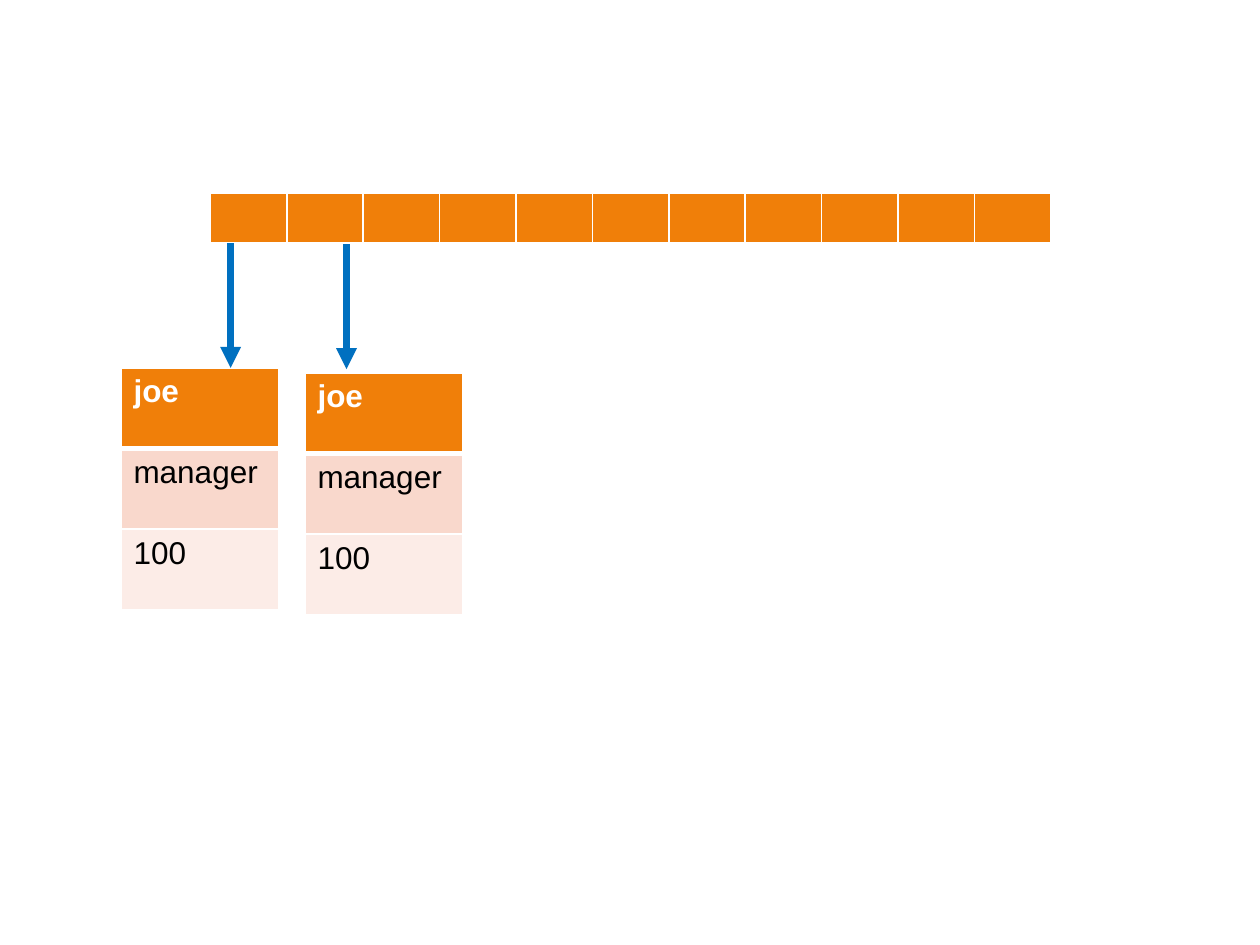
from lxml import etree
from pptx import Presentation
from pptx import util as u
from pptx.dml.color import RGBColor
from pptx.enum import shapes
from pptx.oxml import ns

PX = 9144  # EMU per px, at 100 px to the inch
WHITE = RGBColor(0xFF, 0xFF, 0xFF)
BLACK = RGBColor(0x00, 0x00, 0x00)
ORANGE = RGBColor(0xF0, 0x7F, 0x09)
PINK = RGBColor(0xF9, 0xD8, 0xCC)
PALE_PINK = RGBColor(0xFC, 0xEC, 0xE7)
BLUE = RGBColor(0x00, 0x70, 0xC0)

HEADER = {"name": "Arial", "size": u.Pt(18), "bold": True}
BODY = {**HEADER, "bold": False}
ROW_FILLS = [ORANGE, PINK, PALE_PINK]


def add_xml(parent, tag, **attributes):
    return etree.SubElement(parent, ns.qn(tag), attributes)


class HashTableSlide:
    """Holds the slide and draws bucket rows, records and pointers on it."""

    def __init__(self, deck):
        self.slide = deck.slides.add_slide(deck.slide_layouts[6])

    def grid(self, left, top, width, row_height, rows):
        """Draw a table from rows of texts; the first row is the header."""
        box = [v * PX for v in (left, top, width, row_height * len(rows))]
        table = self.slide.shapes.add_table(len(rows), len(rows[0]), *box).table
        for column in table.columns:
            column.width = round(width * PX / len(rows[0]))
        for r, (texts, fill) in enumerate(zip(rows, ROW_FILLS)):
            table.rows[r].height = row_height * PX
            for c, words in enumerate(texts):
                cell = table.cell(r, c)
                self.border(cell, top=3 if r == 1 else 1, bottom=3 if r == 0 else 1)
                cell.fill.solid()
                cell.fill.fore_color.rgb = fill
                self.label(cell, words, is_header=r == 0)

    def border(self, cell, top, bottom):
        properties = cell._tc.get_or_add_tcPr()
        for side, points in {"L": 1, "R": 1, "T": top, "B": bottom}.items():
            edge = add_xml(properties, f"a:ln{side}", w=str(u.Pt(points)))
            add_xml(add_xml(edge, "a:solidFill"), "a:srgbClr", val=str(WHITE))

    def label(self, cell, words, is_header):
        paragraph = cell.text_frame.paragraphs[0]
        if words:
            paragraph.add_run().text = words
        font = paragraph.runs[0].font if words else paragraph.font
        for key, value in (HEADER if is_header else BODY).items():
            setattr(font, key, value)
        font.color.rgb = WHITE if is_header else BLACK

    def pointer(self, x, top, length):
        arrow = self.slide.shapes.add_connector(
            shapes.MSO_CONNECTOR.STRAIGHT, x * PX, top * PX, x * PX, (top + length) * PX)
        arrow.line.color.rgb = BLUE
        arrow.line.width = u.Pt(4)
        add_xml(arrow.line._get_or_add_ln(), "a:tailEnd", type="triangle")
        add_xml(arrow._element.spPr, "a:effectLst")


def main():
    deck = Presentation()
    deck.slide_width, deck.slide_height = 1000 * PX, 750 * PX
    page = HashTableSlide(deck)

    bucket_count = 11
    page.grid(167, 153, 667, 41, [[""] * bucket_count])

    record = [["joe"], ["manager"], ["100"]]
    for left, top in [(96, 292), (242, 296)]:
        page.grid(left, top, 125, 64, record)
    for x, top in [(183, 193), (275, 194)]:
        page.pointer(x, top, 99)

    deck.save("out.pptx")


if __name__ == "__main__":
    main()
